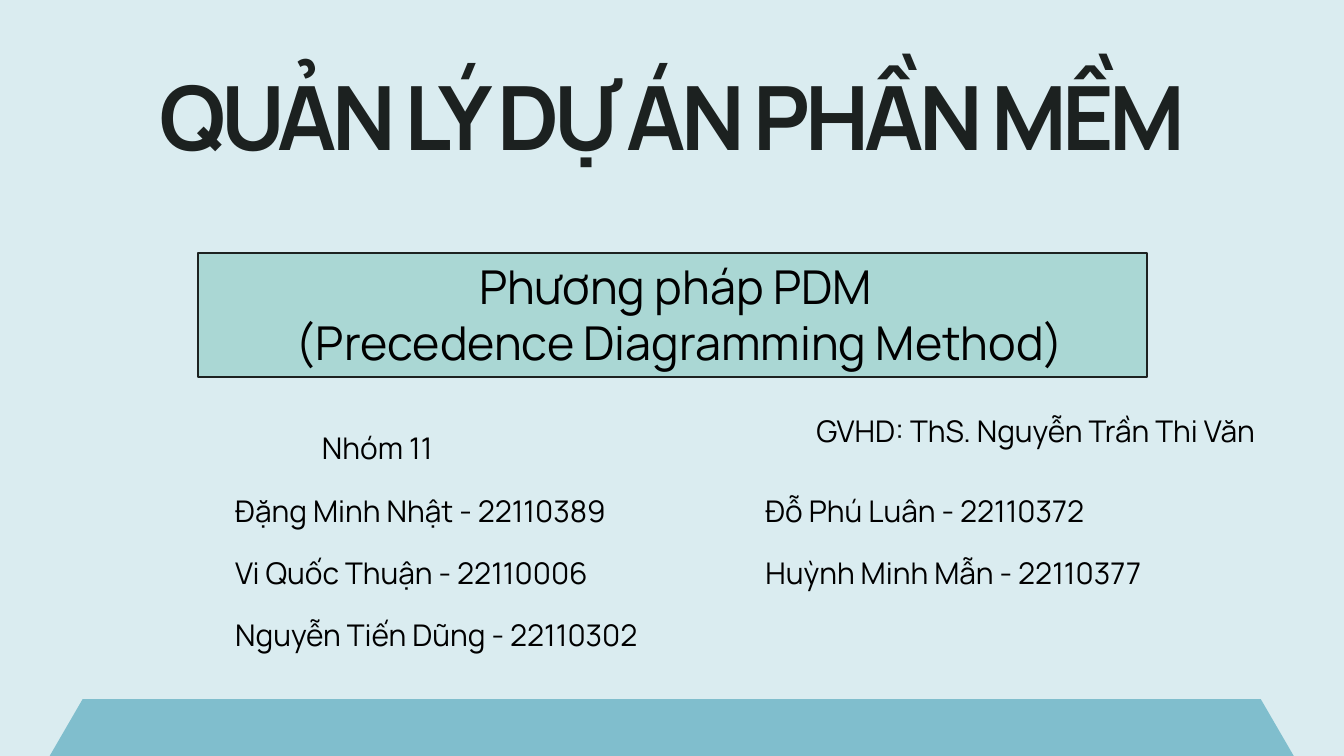
from dataclasses import dataclass

from lxml.etree import SubElement
from pptx import Presentation
from pptx.dml.color import RGBColor
from pptx.enum.shapes import MSO_SHAPE as Shape
from pptx.enum.text import MSO_AUTO_SIZE as AutoSize, PP_ALIGN as Align
from pptx.oxml.ns import qn
from pptx.util import Cm, Pt

COLORS = {"blue": "80BECD", "mint": "AAD7D4", "ink": "1C2120", "black": "000000"}
FONT = "Manrope"
WIDTH, HEIGHT = 50.8, 28.58
ROW_TOP, ROW_STEP, ROW_HEIGHT = 18.62, 2.35, 1.42


@dataclass
class Box:
    left: float
    top: float
    width: float
    height: float

    def emu(self) -> tuple:
        return Cm(self.left), Cm(self.top), Cm(self.width), Cm(self.height)


@dataclass
class Label:
    box: Box
    lines: list[str]
    size: float = 32
    spacing: float = 38.4
    color: str = "black"
    align: Align = Align.LEFT
    bold: bool = False
    tracking: int = 0


@dataclass
class Column:
    left: float
    width: float
    members: list[str]


def rgb(name: str) -> RGBColor:
    return RGBColor.from_string(COLORS[name])


def add_panel(s, kind: Shape, box: Box, fill: str, line: str = ""):
    sp = s.shapes.add_shape(kind, *box.emu())
    sp.shadow.inherit = False
    sp.fill.solid()
    sp.fill.fore_color.rgb = rgb(fill)
    if line:
        sp.line.color.rgb = rgb(line)
        sp.line.width = Pt(2.25)
    else:
        sp.line.fill.background()
    return sp


def set_alpha(sp, percent: int) -> None:
    color = sp.fill._xPr.find(qn("a:solidFill"))[0]
    SubElement(color, qn("a:alpha")).set("val", str(percent * 1000))


def add_label(s, label: Label) -> None:
    tf = s.shapes.add_textbox(*label.box.emu()).text_frame
    tf.word_wrap = True
    tf.auto_size = AutoSize.SHAPE_TO_FIT_TEXT
    tf.margin_left = tf.margin_top = tf.margin_right = tf.margin_bottom = 0
    for i, line in enumerate(label.lines):
        p = tf.add_paragraph() if i else tf.paragraphs[0]
        p.alignment = label.align
        p.line_spacing = Pt(label.spacing)
        r = p.add_run()
        r.text = line
        r.font.name = FONT
        r.font.size = Pt(label.size)
        r.font.bold = label.bold
        r.font.color.rgb = rgb(label.color)
        if label.tracking:
            r._r.get_or_add_rPr().set("spc", str(label.tracking))


def main() -> None:
    prs = Presentation()
    prs.slide_width, prs.slide_height = Cm(WIDTH), Cm(HEIGHT)
    s = prs.slides.add_slide(prs.slide_layouts[6])

    backdrop = add_panel(s, Shape.RECTANGLE, Box(0, 0, WIDTH, HEIGHT), "blue")
    set_alpha(backdrop, 29)
    add_label(s, Label(Box(4.95, 3.53, 40.92, 3.35), ["QUẢN LÝ DỰ ÁN PHẦN MỀM"],
                       95, 79.8, "ink", Align.CENTER, True, -510))
    footer = add_panel(s, Shape.HEXAGON, Box(1.88, 26.43, 47.02, 4.29), "blue")
    footer.adjustments[0] = 0.29

    add_label(s, Label(Box(12.17, 16.26, 6.3, ROW_HEIGHT), ["Nhóm 11"]))
    add_label(s, Label(Box(30.86, 15.6, 19.15, ROW_HEIGHT),
                       ["GVHD: ThS. Nguyễn Trần Thi Văn"]))
    columns = [
        Column(8.89, 19.18, ["Đặng Minh Nhật - 22110389",
                             "Vi Quốc Thuận - 22110006",
                             "Nguyễn Tiến Dũng - 22110302"]),
        Column(28.93, 16.51, ["Đỗ Phú Luân - 22110372",
                              "Huỳnh Minh Mẫn - 22110377"]),
    ]
    for column in columns:
        for row, member in enumerate(column.members):
            top = ROW_TOP + row * ROW_STEP
            add_label(s, Label(Box(column.left, top, column.width, ROW_HEIGHT), [member]))

    add_panel(s, Shape.RECTANGLE, Box(7.47, 9.55, 35.89, 4.72), "mint", "ink")
    add_label(s, Label(Box(8.1, 9.75, 35.23, 4.27),
                       ["Phương pháp PDM ", "(Precedence Diagramming Method)"],
                       50, 60, align=Align.CENTER))
    prs.save("out.pptx")


if __name__ == "__main__":
    main()
